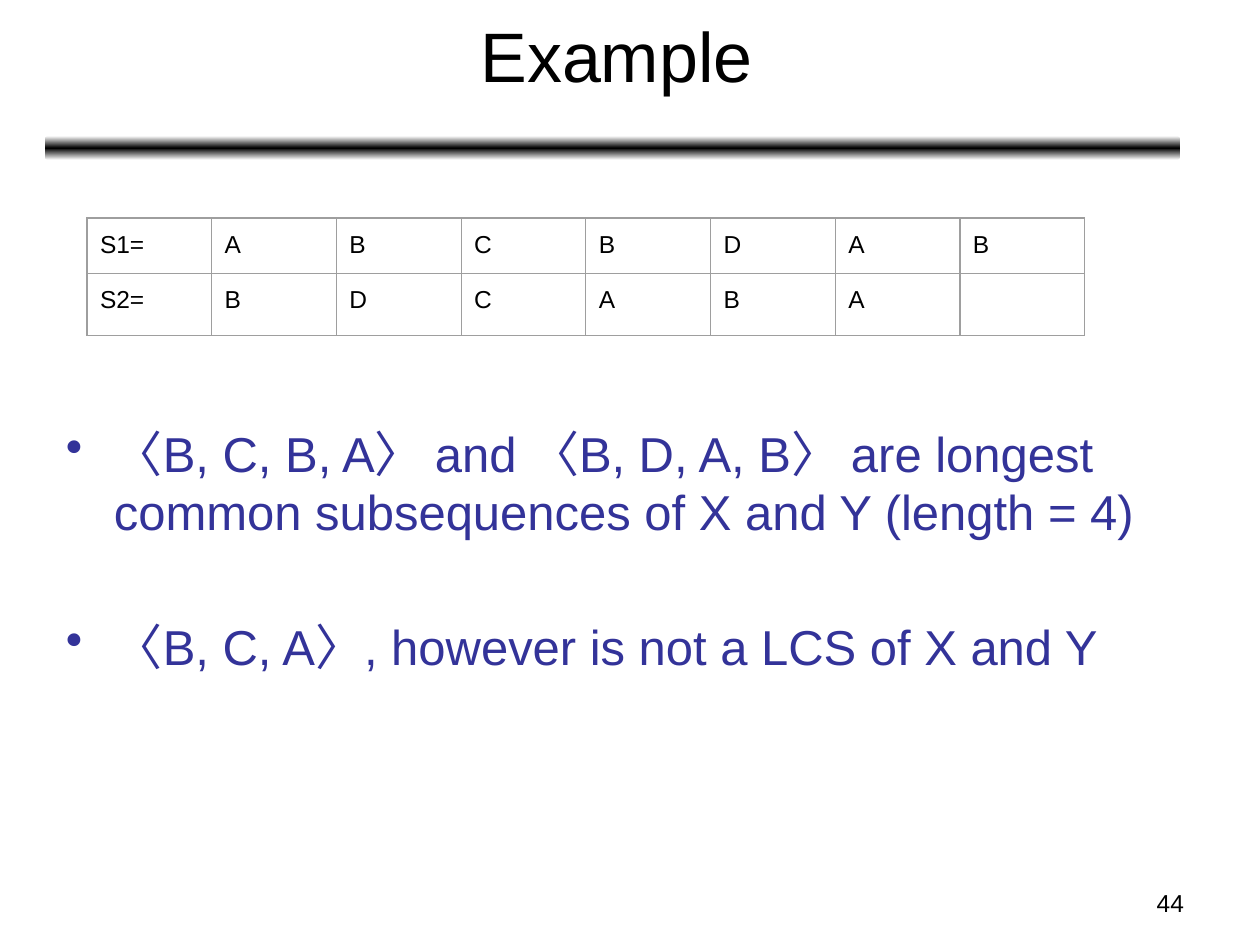
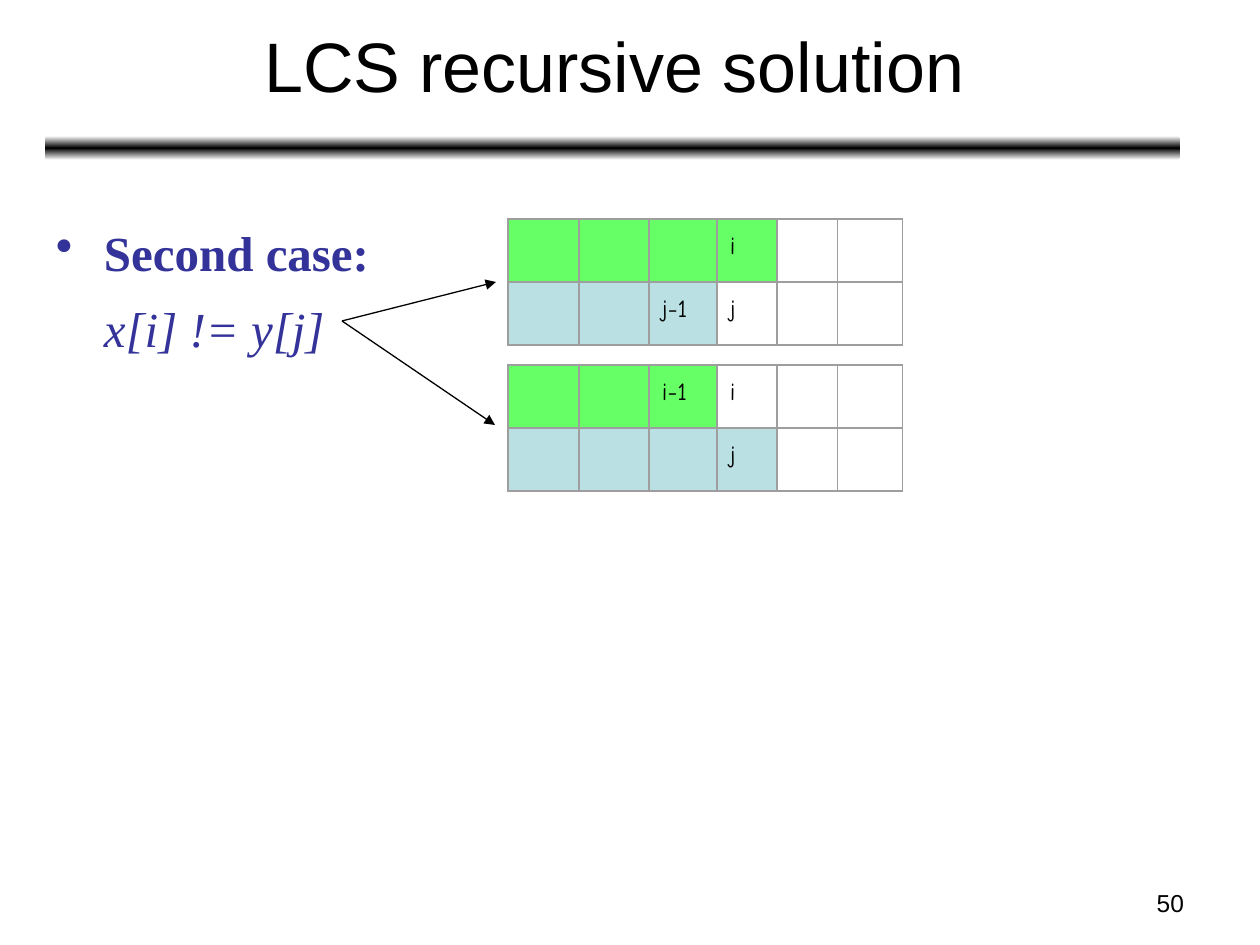
from pptx import Presentation
from pptx.dml.color import RGBColor
from pptx.enum.shapes import MSO_CONNECTOR as CONN, MSO_SHAPE as SHAPE
from pptx.enum.text import PP_ALIGN as ALIGN
from pptx.oxml import parse_xml
from pptx.oxml.ns import nsdecls, qn
from pptx.util import Emu, Pt

# Shared look
PX = 914400 / 126
BLACK, WHITE, NAVY = "000000", "FFFFFF", "333399"
GREEN, TEAL, GRID = "66FF66", "BBE0E3", "9E9E9E"
SANS, SERIF, HAND = "Arial", "Times New Roman", "Comic Neue"
INSET = 13
BAND = (45, 136, 1135, 24)
NUMBER_BOX = (903, 882, 294, 44)

# Slide 1 content
EXAMPLE = dict(title="Example", title_box=(410, 0, 413, 111), number="44")
SEQUENCES = [
    ["S1=", "A", "B", "C", "B", "D", "A", "B"],
    ["S2=", "B", "D", "C", "A", "B", "A", ""],
]
SEQUENCE_AT, SEQUENCE_WIDTH, SEQUENCE_ROWS = (87, 218), 998, (55, 62)
FINDINGS_BOX = (53, 410, 1173, 282)
FINDINGS = [  # text, space before in points
    ("〈B, C, B, A〉 and 〈B, D, A, B〉 are longest common subsequences of X and Y (length = 4)", 0),
    ("〈B, C, A〉, however is not a LCS of X and Y", 43.4),
]

# Slide 2 content: labels, and how many cells of each row are filled
SOLUTION = dict(title="LCS recursive solution", title_box=(32, 10, 1164, 111), number="50")
CASE_BOX = (43, 192, 413, 163)
CASE_RUNS = [("Second case: ", True, False), ("x[i] != y[j]", False, True)]
PREFIX_COLS, PREFIX_ROWS = (71, 70, 68, 60, 61, 65), (63, 63)
PREFIXES = [
    dict(at=(508, 365), labels=[["", "", "i-1", "i", "", ""], ["", "", "", "j", "", ""]], filled=(3, 4)),
    dict(at=(508, 219), labels=[["", "", "", "i", "", ""], ["", "", "j-1", "j", "", ""]], filled=(4, 3)),
]
ARROW_START, ARROW_ENDS = (342, 321), [(496, 282), (495, 425)]


def px(n):
    return Emu(round(n * PX))


def rgb(color):
    return RGBColor.from_string(color)


def add_run(p, text, size, font, color, bold=False, italic=False):
    r = p.add_run()
    r.text = text
    f = r.font
    f.size, f.name, f.bold, f.italic = Pt(size), font, bold, italic
    f.color.rgb = rgb(color)


def set_margins(frame, side, top):
    frame.margin_left = frame.margin_right = px(side)
    frame.margin_top = frame.margin_bottom = px(top)


def add_text(s, box, inset=INSET):
    tf = s.shapes.add_textbox(*map(px, box)).text_frame
    tf.word_wrap = True
    set_margins(tf, INSET, inset)
    return tf


def add_bullet(p):
    pPr = p._p.get_or_add_pPr()
    pPr.set("marL", str(px(48)))
    pPr.set("indent", str(-px(48)))
    pPr.append(parse_xml(f'<a:buClr {nsdecls("a")}><a:srgbClr val="{NAVY}"/></a:buClr>'))
    pPr.append(parse_xml(f'<a:buChar {nsdecls("a")} char="•"/>'))


def add_band(s):
    sp = s.shapes.add_shape(SHAPE.ROUNDED_RECTANGLE, *map(px, BAND))
    sp.shadow.inherit = False
    sp.line.fill.background()
    sp.fill.gradient()
    sp.fill.gradient_angle = 90
    stops = sp._element.spPr.find(".//" + qn("a:gsLst"))
    for stop in list(stops):
        stops.remove(stop)
    for pos, color in ((0, WHITE), (50, BLACK), (100, WHITE)):
        stops.append(parse_xml(
            f'<a:gs {nsdecls("a")} pos="{pos * 1000}"><a:srgbClr val="{color}"/></a:gs>'))


def new_slide(prs, title, title_box, number):
    s = prs.slides.add_slide(prs.slide_layouts[6])
    add_band(s)
    for text, box, inset, size, align in (
            (number, NUMBER_BOX, 6, 14, ALIGN.RIGHT),
            (title, title_box, INSET, 40, ALIGN.CENTER)):
        p = add_text(s, box, inset).paragraphs[0]
        p.alignment = align
        add_run(p, text, size, SANS, BLACK)
    return s


def add_borders(cell):
    tcPr = cell._tc.get_or_add_tcPr()
    for i, side in enumerate(("lnL", "lnR", "lnT", "lnB")):
        tcPr.insert(i, parse_xml(
            f'<a:{side} {nsdecls("a")} w="{Pt(0.75)}"><a:solidFill>'
            f'<a:srgbClr val="{GRID}"/></a:solidFill></a:{side}>'))


def add_grid(s, at, labels, cols, rows, font, filled=(0, 0)):
    size = sum(cols), sum(rows)
    table = s.shapes.add_table(len(rows), len(cols), *map(px, at + size)).table
    table.first_row = table.horz_banding = False
    for col, width in zip(table.columns, cols):
        col.width = px(width)
    for row, height, texts, count, color in zip(table.rows, rows, labels, filled, (GREEN, TEAL)):
        row.height = px(height)
        for i, (cell, text) in enumerate(zip(row.cells, texts)):
            if i < count:
                cell.fill.solid()
                cell.fill.fore_color.rgb = rgb(color)
            else:
                cell.fill.background()
            set_margins(cell, INSET, INSET if text else 0)
            if text:
                add_run(cell.text_frame.paragraphs[0], text, 14, font, BLACK)
            add_borders(cell)


def add_arrow(s, start, end):
    c = s.shapes.add_connector(CONN.STRAIGHT, *map(px, start + end))
    c.line.width = Pt(0.75)
    c.line.color.rgb = rgb(BLACK)
    c.line._get_or_add_ln().append(parse_xml(f'<a:tailEnd {nsdecls("a")} type="triangle"/>'))
    c._element.spPr.append(parse_xml(f'<a:effectLst {nsdecls("a")}/>'))


def build_example(prs):
    s = new_slide(prs, **EXAMPLE)
    n = len(SEQUENCES[0])
    add_grid(s, SEQUENCE_AT, SEQUENCES, [SEQUENCE_WIDTH / n] * n, SEQUENCE_ROWS, SANS)
    tf = add_text(s, FINDINGS_BOX)
    for i, (text, before) in enumerate(FINDINGS):
        p = tf.add_paragraph() if i else tf.paragraphs[0]
        add_bullet(p)
        if before:
            p.space_before = Pt(before)
        add_run(p, text, 28, SANS, NAVY)


def build_solution(prs):
    s = new_slide(prs, **SOLUTION)
    p = add_text(s, CASE_BOX).paragraphs[0]
    add_bullet(p)
    p.line_spacing = 1.3
    for text, bold, italic in CASE_RUNS:
        add_run(p, text, 28, SERIF, NAVY, bold, italic)
    for prefix in PREFIXES:
        add_grid(s, cols=PREFIX_COLS, rows=PREFIX_ROWS, font=HAND, **prefix)
    for end in ARROW_ENDS:
        add_arrow(s, ARROW_START, end)


def main():
    prs = Presentation()
    prs.slide_width, prs.slide_height = px(1260), px(945)
    build_example(prs)
    build_solution(prs)
    prs.save("out.pptx")


if __name__ == "__main__":
    main()
